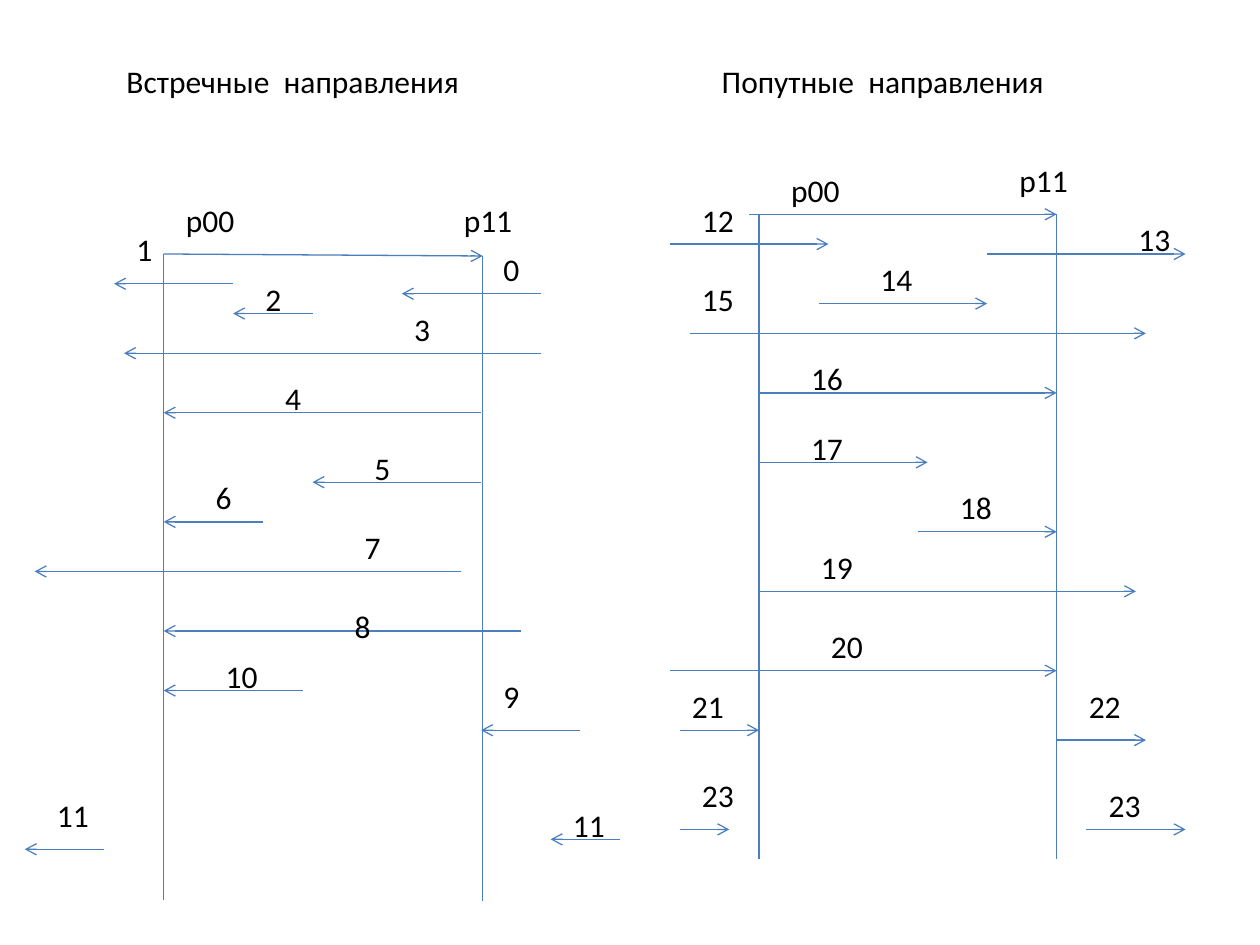
from dataclasses import dataclass

from pptx import Presentation
from pptx import util as u
from pptx.dml.color import RGBColor
from pptx.enum import shapes, text
from pptx.oxml.ns import qn
from pptx.slide import Slide
from lxml import etree

LINE_BLUE = RGBColor(0x4B, 0x7E, 0xBC)
BLACK = RGBColor(0, 0, 0)
LABEL_HEIGHT = 1.02


@dataclass
class Label:
    caption: str
    left: float
    top: float
    width: float = 0  # zero: one-line label sized by its characters


@dataclass
class Line:
    start: tuple[float, float]
    end: tuple[float, float]
    arrow: bool = True


@dataclass
class Case:
    """A numbered horizontal arrow from start to end at height y."""
    number: int
    start: float
    end: float
    y: float
    label_left: float
    label_top: float


# Lengths in centimetres
LABELS = [
    Label("Встречные  направления", 2.3, 1.12, 7.8),
    Label("p00", 3.5, 3.92),
    Label("p11", 9.1, 3.92),
    Label("Попутные  направления", 14.3, 1.12, 7.1),
    Label("p00", 15.7, 3.32),
    Label("p11", 20.3, 3.12),
]

# Base segments and the boundaries that drop from their ends
FRAME = [
    Line((3.3, 5.12), (9.73, 5.16)),
    Line((3.3, 5.12), (3.3, 18.14), arrow=False),
    Line((9.73, 5.16), (9.73, 18.16), arrow=False),
    Line((15.1, 4.32), (21.3, 4.32)),
    Line((15.3, 4.32), (15.3, 17.32), arrow=False),
    Line((21.3, 4.32), (21.3, 17.32), arrow=False),
]

OPPOSITE_CASES = [
    Case(0, 10.9, 8.1, 5.92, 9.9, 4.92),
    Case(1, 4.7, 2.3, 5.72, 2.5, 4.52),
    Case(2, 6.3, 4.7, 6.32, 5.1, 5.52),
    Case(3, 10.9, 2.5, 7.12, 8.1, 6.12),
    Case(4, 9.7, 3.3, 8.32, 5.5, 7.52),
    Case(5, 9.7, 6.3, 9.72, 7.3, 8.92),
    Case(6, 5.3, 3.3, 10.52, 4.1, 9.52),
    Case(7, 9.3, 0.7, 11.52, 7.1, 10.52),
    Case(8, 10.5, 3.3, 12.72, 6.9, 12.12),
    Case(9, 11.7, 9.7, 14.72, 9.9, 13.52),
    Case(10, 6.1, 3.3, 13.92, 4.3, 13.12),
    Case(11, 2.1, 0.5, 17.12, 0.9, 15.92),
    Case(11, 12.5, 11.1, 16.92, 11.3, 16.12),
]

SAME_WAY_CASES = [
    Case(12, 13.5, 16.7, 4.92, 13.9, 3.92),
    Case(13, 19.9, 23.9, 5.12, 22.7, 4.32),
    Case(14, 16.5, 19.9, 6.12, 17.5, 5.12),
    Case(15, 13.9, 23.1, 6.72, 13.9, 5.52),
    Case(16, 15.3, 21.3, 7.92, 16.1, 7.12),
    Case(17, 15.3, 18.7, 9.32, 16.1, 8.52),
    Case(18, 18.5, 21.3, 10.72, 19.1, 9.72),
    Case(19, 15.3, 22.9, 11.92, 16.3, 10.92),
    Case(20, 13.5, 21.3, 13.52, 16.5, 12.52),
    Case(21, 13.7, 15.3, 14.72, 13.7, 13.72),
    Case(22, 21.3, 23.1, 14.92, 21.7, 13.72),
    Case(23, 13.7, 14.7, 16.72, 13.9, 15.52),
    Case(23, 21.9, 23.9, 16.72, 22.1, 15.72),
]


def draw_label(slide: Slide, label: Label) -> None:
    width = label.width or 0.51 + 0.33 * len(label.caption)
    shape = slide.shapes.add_textbox(
        u.Cm(label.left), u.Cm(label.top), u.Cm(width), u.Cm(LABEL_HEIGHT))
    frame = shape.text_frame
    frame.word_wrap = label.width > 0
    frame.auto_size = text.MSO_AUTO_SIZE.SHAPE_TO_FIT_TEXT
    run = frame.paragraphs[0].add_run()
    run.text = label.caption
    run.font.name = "Calibri"
    run.font.size = u.Pt(18)
    run.font.color.rgb = BLACK


def draw_line(slide: Slide, line: Line) -> None:
    connector = slide.shapes.add_connector(
        shapes.MSO_CONNECTOR.STRAIGHT,
        *(u.Cm(value) for value in line.start + line.end))
    connector.line.color.rgb = LINE_BLUE
    connector.line.width = u.Pt(0.75)
    properties = connector._element.spPr
    if line.arrow:
        outline = properties.find(qn("a:ln"))
        etree.SubElement(outline, qn("a:tailEnd"), type="arrow")
    etree.SubElement(properties, qn("a:effectLst"))


def draw_case(slide: Slide, case: Case) -> None:
    draw_line(slide, Line((case.start, case.y), (case.end, case.y)))
    draw_label(slide, Label(str(case.number), case.label_left, case.label_top))


def main() -> None:
    presentation = Presentation()
    presentation.slide_width = u.Cm(25.4)
    presentation.slide_height = u.Cm(19.05)
    slide = presentation.slides.add_slide(presentation.slide_layouts[6])

    # Base segments and boundaries
    for line in FRAME:
        draw_line(slide, line)
    # Headings and point names
    for label in LABELS:
        draw_label(slide, label)
    # Numbered arrows
    for case in OPPOSITE_CASES + SAME_WAY_CASES:
        draw_case(slide, case)

    presentation.save("out.pptx")


if __name__ == "__main__":
    main()
